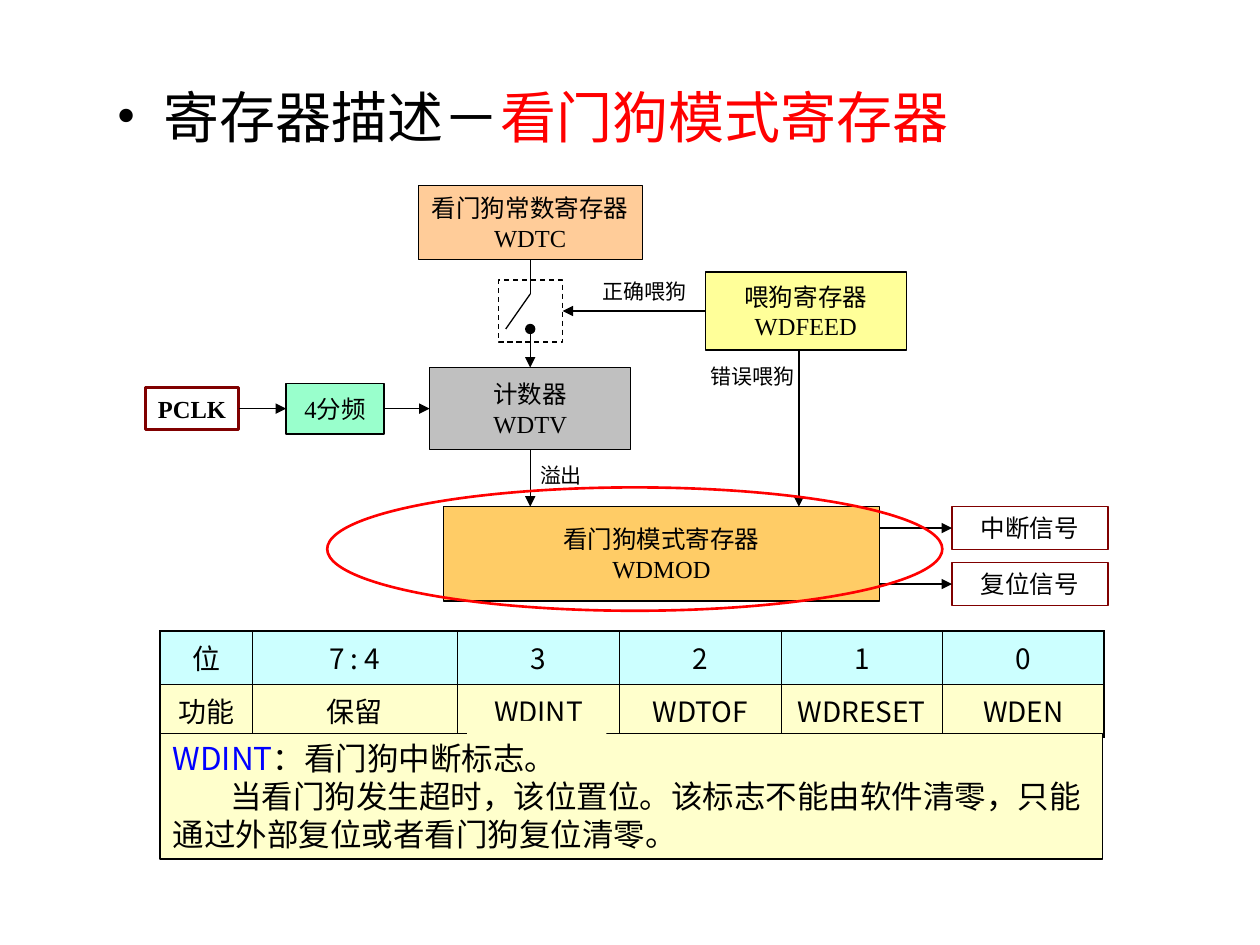
"""Build the watchdog mode register slide."""
from dataclasses import dataclass

import pptx
import pptx.dml.color
import pptx.enum.dml
import pptx.enum.shapes
import pptx.enum.text
import pptx.oxml
import pptx.oxml.ns
import pptx.util
from lxml import etree

Pt = pptx.util.Pt
SHAPES = pptx.enum.shapes.MSO_SHAPE
ALIGN = pptx.enum.text.PP_ALIGN
ANCHOR = pptx.enum.text.MSO_ANCHOR
TOP, LEFT, BOTTOM, RIGHT = range(4)


@dataclass(frozen=True)
class Theme:
    """Hold the fonts, colours and type sizes of the slide."""
    serif: str = "Times New Roman"
    chinese: str = "Noto Sans CJK SC"
    sans: str = "Noto Sans CJK JP"
    black: str = "000000"
    red: str = "FF0000"
    blue: str = "0000FF"
    maroon: str = "800000"
    peach: str = "FFCC99"
    yellow: str = "FFFF99"
    mint: str = "99FFCC"
    grey: str = "C0C0C0"
    orange: str = "FFCC66"
    cyan: str = "CCFFFF"
    cream: str = "FFFFCC"
    title: int = 32
    note: int = 18
    table: int = 16
    box: int = 14
    label: int = 12


THEME = Theme()


def rgb(color):
    """Turn a hex string into a colour."""
    return pptx.dml.color.RGBColor.from_string(color)


def child(parent, tag, **attributes):
    """Append a drawing element to a parent element."""
    return etree.SubElement(parent, pptx.oxml.ns.qn(tag), **attributes)


def add_run(paragraph, text, size, font=THEME.serif, color=THEME.black, bold=False):
    """Add one formatted run to a paragraph."""
    run = paragraph.add_run()
    run.text = text
    run.font.size = Pt(size)
    run.font.bold = bold
    run.font.color.rgb = rgb(color)
    run.font.name = font
    east_asian = THEME.chinese if font == THEME.serif else font
    child(run.font._element, "a:ea", typeface=east_asian)


def add_shape(slide, bounds, kind=SHAPES.RECTANGLE, fill=None, line=THEME.black, width=0.75):
    """Add a preset shape with an optional fill and outline."""
    shape = slide.shapes.add_shape(kind, *map(Pt, bounds))
    shape.shadow.inherit = False
    if fill:
        shape.fill.solid()
        shape.fill.fore_color.rgb = rgb(fill)
    else:
        shape.fill.background()
    if line:
        shape.line.color.rgb = rgb(line)
        shape.line.width = Pt(width)
    else:
        shape.line.fill.background()
    return shape


def add_box(slide, bounds, lines, bold=False, **style):
    """Add a rectangle with centred lines of text."""
    shape = add_shape(slide, bounds, **style)
    frame = shape.text_frame
    frame.word_wrap = False
    frame.vertical_anchor = ANCHOR.MIDDLE
    for index, text in enumerate(lines):
        paragraph = frame.add_paragraph() if index else frame.paragraphs[0]
        paragraph.alignment = ALIGN.CENTER
        add_run(paragraph, text, THEME.box, bold=bold)
    return shape


def add_label(slide, bounds, text):
    """Add a small one-line caption beside a connector."""
    frame = slide.shapes.add_textbox(*map(Pt, bounds)).text_frame
    frame.word_wrap = True
    frame.margin_right = 0
    add_run(frame.paragraphs[0], text, THEME.label)


def add_line(slide, start, end, head=None, tail="triangle"):
    """Draw a straight connector between points or (shape, side) pairs."""
    connector = slide.shapes.add_connector(pptx.enum.shapes.MSO_CONNECTOR.STRAIGHT, 0, 0, 0, 0)
    if isinstance(start[0], (int, float)):
        connector.begin_x, connector.begin_y = map(Pt, start)
    else:
        connector.begin_connect(*start)
    if isinstance(end[0], (int, float)):
        connector.end_x, connector.end_y = map(Pt, end)
    else:
        connector.end_connect(*end)
    connector.line.color.rgb = rgb(THEME.black)
    connector.line.width = Pt(0.75)
    outline = connector.line._get_or_add_ln()
    for tag, arrow in (("a:headEnd", head), ("a:tailEnd", tail)):
        if arrow:
            child(outline, tag, type=arrow)
    child(connector._element.spPr, "a:effectLst")


def add_title(slide):
    """Add the bulleted heading."""
    frame = slide.shapes.add_textbox(Pt(59.5), Pt(43.5), Pt(590), Pt(48)).text_frame
    frame.word_wrap = True
    paragraph = frame.paragraphs[0]
    properties = paragraph._p.get_or_add_pPr()
    properties.set("marL", str(Pt(27)))
    properties.set("indent", str(-Pt(27)))
    child(properties, "a:buFont", typeface=THEME.serif)
    child(properties, "a:buChar", char="•")
    add_run(paragraph, "寄存器描述－", THEME.title)
    add_run(paragraph, "看门狗模式寄存器", THEME.title, color=THEME.red)


def add_diagram(slide):
    """Draw the watchdog block diagram."""
    constant = add_box(slide, (239, 106, 128, 42.5), ["看门狗常数寄存器", "WDTC"], fill=THEME.peach)
    feed = add_box(slide, (403, 155.5, 115, 44.5), ["喂狗寄存器", "WDFEED"], fill=THEME.yellow)
    clock = add_box(slide, (83, 221.5, 53.5, 24), ["PCLK"], bold=True, line=THEME.maroon, width=1.5)
    divider = add_box(slide, (163.5, 219, 56, 29), ["4分频"], fill=THEME.mint)
    counter = add_box(slide, (245.5, 210, 115, 47), ["计数器", "WDTV"], fill=THEME.grey)
    add_box(slide, (253.5, 289.5, 249, 54), ["看门狗模式寄存器", "WDMOD"], fill=THEME.orange)
    switch = add_shape(slide, (285, 160, 36.5, 35.5))
    switch.line.dash_style = pptx.enum.dml.MSO_LINE.DASH

    for top, text in ((289.5, "中断信号"), (321.5, "复位信号")):
        signal = add_box(slide, (544, top, 89, 24.5), [text], line=THEME.maroon, width=1)
        add_line(slide, (502.5, top + 12.25), (signal, LEFT))

    add_line(slide, (constant, BOTTOM), (303, 168), tail=None)
    add_line(slide, (303, 168), (289, 188), tail=None)
    add_line(slide, (303, 188), (counter, TOP), head="oval")
    add_line(slide, (feed, LEFT), (switch, RIGHT))
    add_line(slide, (clock, RIGHT), (divider, LEFT))
    add_line(slide, (divider, RIGHT), (counter, LEFT))
    add_line(slide, (counter, BOTTOM), (303, 289.5))
    add_line(slide, (456.5, 200), (456.5, 289.5))

    add_label(slide, (337, 155.5, 62, 21.5), "正确喂狗")
    add_label(slide, (399, 204.5, 62, 21.5), "错误喂狗")
    add_label(slide, (301.5, 260.5, 38, 21.5), "溢出")
    add_shape(slide, (187, 278.5, 351.5, 70.5), SHAPES.OVAL, line=THEME.red, width=1.5)


def add_register_table(slide):
    """Add the bit table with a heavier outer border."""
    rows = (("位", "7 : 4", "3", "2", "1", "0"),
            ("功能", "保留", "WDINT", "WDTOF", "WDRESET", "WDEN"))
    widths = (52.5, 117.5) + (92.4,) * 4
    table = slide.shapes.add_table(2, 6, Pt(91.5), Pt(360.5), Pt(sum(widths)), Pt(53)).table
    table.first_row = table.horz_banding = False
    for column, width in zip(table.columns, widths):
        column.width = Pt(width)
    for row, texts in enumerate(rows):
        for column, text in enumerate(texts):
            cell = table.cell(row, column)
            properties = cell._tc.get_or_add_tcPr()
            edges = (("L", column == 0), ("R", column == 5), ("T", row == 0), ("B", row == 1))
            for side, outer in edges:
                border = child(properties, f"a:ln{side}", w=str(Pt(1.08 if outer else 0.45)))
                child(child(border, "a:solidFill"), "a:srgbClr", val=THEME.black)
            cell.fill.solid()
            cell.fill.fore_color.rgb = rgb(THEME.cream if row else THEME.cyan)
            paragraph = cell.text_frame.paragraphs[0]
            paragraph.alignment = ALIGN.CENTER
            add_run(paragraph, text, THEME.table, THEME.chinese)


def add_note(slide):
    """Add the explanation joined to its table column."""
    frame = add_shape(slide, (91.5, 419, 538.5, 72), fill=THEME.cream).text_frame
    frame.word_wrap = True
    frame.vertical_anchor = ANCHOR.MIDDLE
    heading, body = frame.paragraphs[0], frame.add_paragraph()
    heading.alignment = body.alignment = ALIGN.LEFT
    add_run(heading, "WDINT", THEME.note, THEME.sans, THEME.blue)
    add_run(heading, "：看门狗中断标志。", THEME.note, THEME.sans)
    body._p.get_or_add_pPr().set("indent", str(Pt(33)))
    add_run(body, "当看门狗发生超时，该位置位。该标志不能由软件清零，只能通过外部复位或者看门狗复位清零。",
            THEME.note, THEME.sans)
    add_shape(slide, (267, 412, 79.5, 11.5), fill=THEME.cream, line=None)


def main():
    """Create and save the presentation."""
    presentation = pptx.Presentation()
    presentation.slide_width, presentation.slide_height = Pt(720), Pt(540)
    slide = presentation.slides.add_slide(presentation.slide_layouts[6])
    add_register_table(slide)
    add_diagram(slide)
    add_note(slide)
    add_title(slide)
    presentation.save("out.pptx")


if __name__ == "__main__":
    main()
